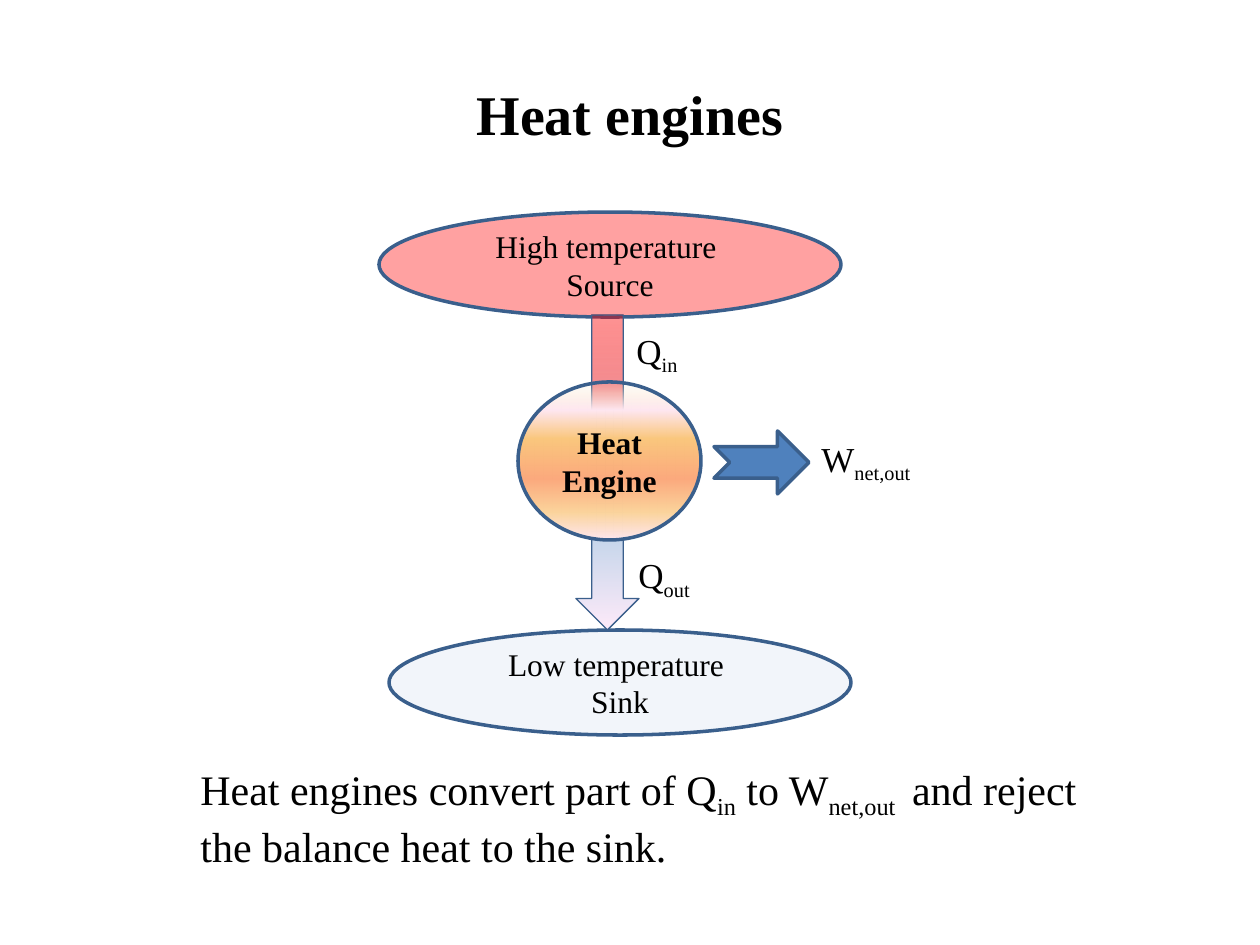
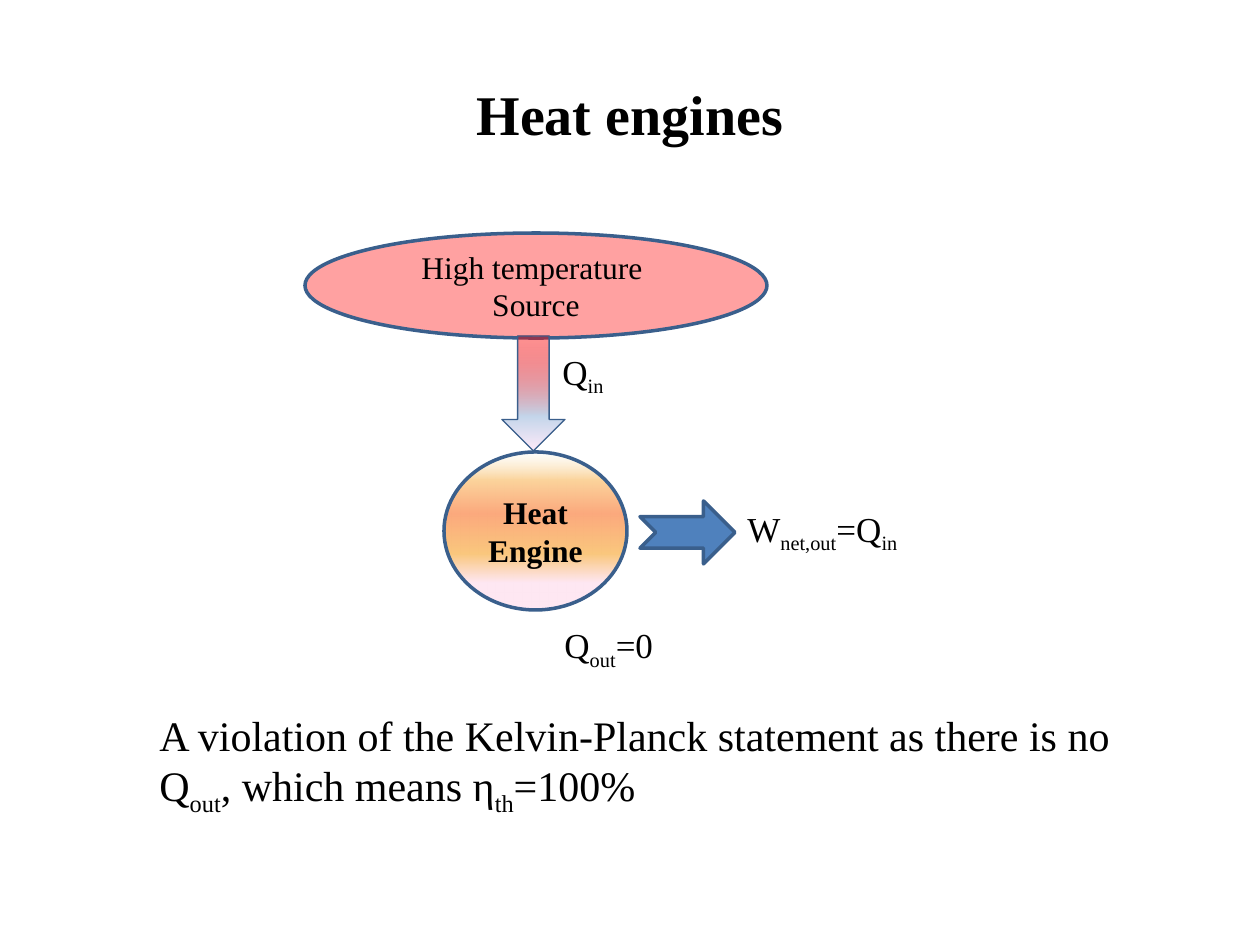
from dataclasses import dataclass

from lxml.etree import SubElement
from pptx import Presentation
from pptx.dml.color import RGBColor
from pptx.enum.shapes import MSO_SHAPE as Form
from pptx.enum.text import MSO_ANCHOR, MSO_AUTO_SIZE, PP_ALIGN
from pptx.oxml.ns import qn
from pptx.util import Pt

SCALE = 914400 // 126  # EMU in one pixel


# Theme: colours, type sizes and gradients (place %, colour, opacity %)
@dataclass(frozen=True)
class Theme:
    font: str = "Times New Roman"
    ink: str = "000000"
    edge: str = "3A5F8C"
    work: str = "4F81BD"
    hot: str = "FF0000"
    cold: str = "DCE6F2"
    clear: int = 37
    head: int = 32
    body: int = 24
    label: int = 20
    node: int = 18
    flow: tuple = ((0, "5E9EFF", 100), (0, "FF0000", 42),
                   (70, "C4D6EB", 100), (100, "FFEBFA", 100))
    glow: tuple = ((0, "FBEAC7", 0), (18, "FEE7F2", 100), (36, "FAC77D", 100),
                   (61, "FBA97D", 100), (82, "FBD49C", 100), (100, "FEE7F2", 100))
    rise: tuple = ((18, "FEE7F2", 100), (36, "FAC77D", 100), (61, "FBA97D", 100),
                   (82, "FBD49C", 100), (100, "FBEAC7", 0), (100, "FEE7F2", 100))


THEME = Theme()


def write(frame, text, size, bold=False, align=None):
    """Fill a frame: a line break starts a paragraph, bars enclose subscripts."""
    for i, line in enumerate(text.split("\n")):
        para = frame.add_paragraph() if i else frame.paragraphs[0]
        para.alignment = align
        for j, part in enumerate(line.split("|")):
            if not part:
                continue
            run = para.add_run()
            run.text = part
            font = run.font
            font.name, font.size, font.bold = THEME.font, Pt(size), bold
            font.color.rgb = RGBColor.from_string(THEME.ink)
            if j % 2:
                run._r.get_or_add_rPr().set("baseline", "-25000")


def fade(node, clear):
    SubElement(node, qn("a:alpha")).set("val", str(clear * 1000))


class Deck:
    def __init__(self):
        self.show = Presentation()
        self.show.slide_width, self.show.slide_height = 1260 * SCALE, 945 * SCALE
        self.slide = None

    def page(self, title):
        self.slide = self.show.slides.add_slide(self.show.slide_layouts[6])
        self.text(title, 63, 73, 1134, 122, THEME.head, bold=True,
                  align=PP_ALIGN.CENTER, grow=False)

    def text(self, text, x, y, w, h, size, wrap=True, grow=True, **style):
        box = self.slide.shapes.add_textbox(*(v * SCALE for v in (x, y, w, h)))
        frame = box.text_frame
        frame.word_wrap = wrap
        frame.auto_size = MSO_AUTO_SIZE.SHAPE_TO_FIT_TEXT if grow else MSO_AUTO_SIZE.NONE
        write(frame, text, size, **style)

    def label(self, text, x, y, w, wrap=False):
        self.text(text, x, y, w, 55, THEME.label, wrap=wrap)

    def shape(self, form, x, y, w, h, line=2, text="", bold=False):
        item = self.slide.shapes.add_shape(form, *(v * SCALE for v in (x, y, w, h)))
        item.shadow.inherit = False
        item.line.color.rgb = RGBColor.from_string(THEME.edge)
        item.line.width = Pt(line)
        if text:
            frame = item.text_frame
            frame.margin_left = frame.margin_right = 0
            frame.margin_top = frame.margin_bottom = 0
            frame.vertical_anchor = MSO_ANCHOR.MIDDLE
            frame.word_wrap = True
            write(frame, text, THEME.node, bold=bold, align=PP_ALIGN.CENTER)
        return item

    def flat(self, item, tone, clear=100):
        item.fill.solid()
        item.fill.fore_color.rgb = RGBColor.from_string(tone)
        if clear < 100:
            fade(item._element.spPr.find(qn("a:solidFill"))[0], clear)

    def blend(self, item, stops, angle):
        item.fill.gradient()
        grad = item._element.spPr.find(qn("a:gradFill"))
        for node in list(grad):
            grad.remove(node)
        row = SubElement(grad, qn("a:gsLst"))
        for place, tone, clear in stops:
            stop = SubElement(row, qn("a:gs"))
            stop.set("pos", str(place * 1000))
            node = SubElement(stop, qn("a:srgbClr"))
            node.set("val", tone)
            if clear < 100:
                fade(node, clear)
        SubElement(grad, qn("a:lin")).set("ang", str(angle * 60000))

    def pool(self, text, x, y, tone):
        item = self.shape(Form.OVAL, x, y, 462, 105, text=text)
        self.flat(item, tone, THEME.clear)

    def engine(self, x, top, core, drop, stops, angle, work, waste):
        """Draw source, heat flow, engine and work; waste and work are (text, width)."""
        self.pool("High temperature \nSource", x, top, THEME.hot)
        flow = self.shape(Form.DOWN_ARROW, x + 197, top + 103, 63, drop, line=0)
        self.blend(flow, THEME.flow, 90)
        push = self.shape(Form.NOTCHED_RIGHT_ARROW, x + 335, core + 49, 95, 63)
        self.flat(push, THEME.work)
        ball = self.shape(Form.FLOWCHART_CONNECTOR, x + 139, core, 183, 158,
                          text="Heat Engine", bold=True)
        self.blend(ball, stops, angle)
        self.label("Q|in|", x + 245, top + 111, 95, wrap=True)
        self.label(waste[0], x + 247, core + 165, waste[1])
        self.label(work[0], x + 430, core + 49, work[1])

    def note(self, text, x, y, w):
        self.text(text, x, y, w, 115, THEME.body)


deck = Deck()

# Slide 1: engine between source and sink
deck.page("Heat engines")
deck.pool("Low temperature \nSink", 389, 630, THEME.cold)
deck.engine(379, 212, 382, 315, THEME.glow, 90,
            work=("W|net,out|", 123), waste=("Q|out|", 81))
deck.note("Heat engines convert part of Q|in| to W|net,out | and reject "
          "the balance heat to the sink.", 188, 757, 926)

# Slide 2: engine without a sink
deck.page("Heat engines")
deck.engine(305, 233, 452, 115, THEME.rise, 270,
            work=("W|net,out|=Q|in|", 199), waste=("Q|out|=0", 118))
deck.note("A violation of the Kelvin-Planck statement as there is no "
          "Q|out|, which means η|th|=100%", 147, 703, 1018)

deck.show.save("out.pptx")
